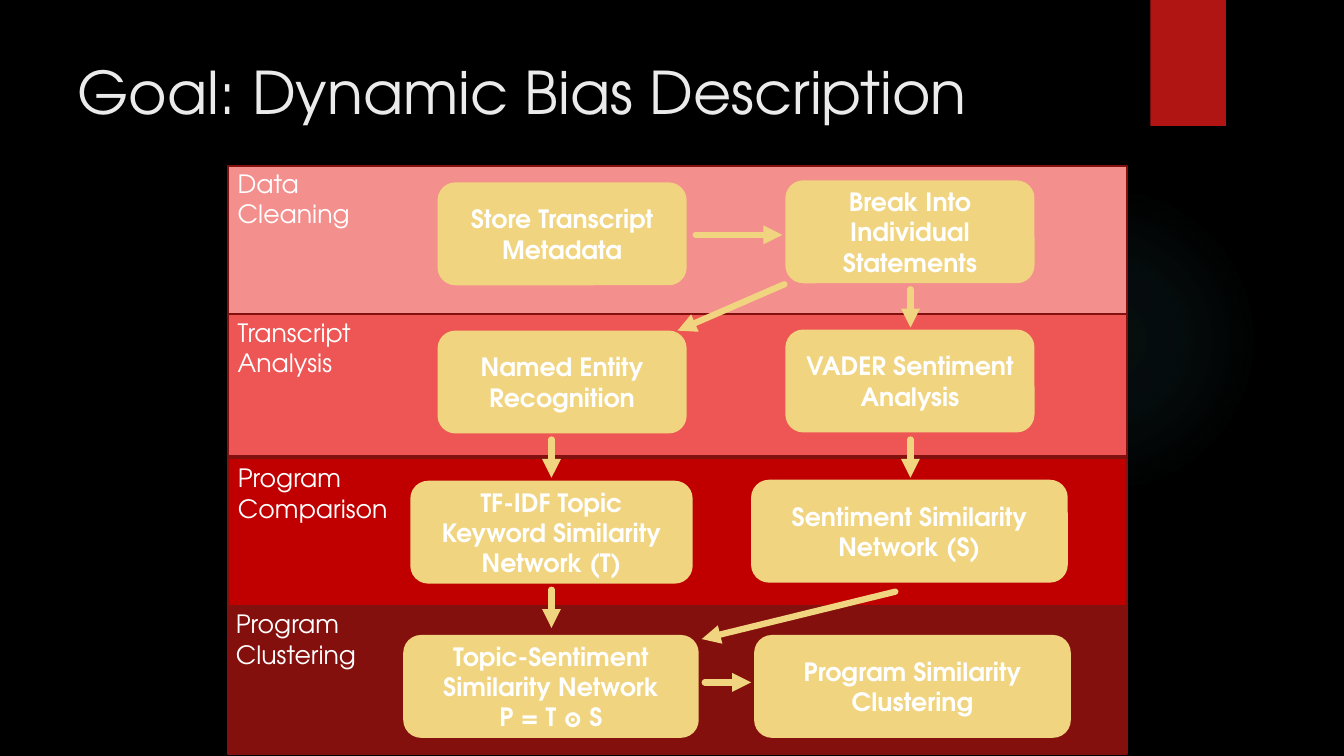
"""Build the Dynamic Bias Description slide: four stage bands holding a flow of steps."""
from lxml import etree
from pptx import Presentation
from pptx import util as u
from pptx.dml.color import RGBColor
from pptx.enum import shapes, text
from pptx.oxml import parse_xml
from pptx.oxml.ns import nsdecls, qn

FONT = "TeX Gyre Adventor"
COLORS = {
    "background": "000000", "title": "EBEBEB", "white": "FFFFFF",
    "ribbon": "B01513", "glow": "50B9C1", "border": "82100E", "step": "F0D47F",
    "cleaning": "F38F8D", "analysis": "ED5654",
    "comparison": "C00000", "clustering": "84100E",
}
BAND_LEFT, BAND_WIDTH, BAND_HEIGHT = 2.26, 8.92, 1.47
STEP_HEIGHT = 1

BANDS = [
    ("analysis", 3.06, "Transcript Analysis", 2.26, 3.1, 1.5),
    ("comparison", 4.54, "Program Comparison", 2.26, 4.54, 1.75),
    ("clustering", 6.01, "Program Clustering", 2.24, 5.99, 1.71),
    ("cleaning", 1.65, "Data Cleaning", 2.26, 1.62, 1.5),
]
STEPS = [
    ("Store Transcript Metadata", 4.35, 1.82, 2.45),
    ("Break Into Individual Statements", 7.8, 1.8, 2.45),
    ("Named Entity Recognition", 4.35, 3.29, 2.45),
    ("VADER Sentiment Analysis", 7.8, 3.28, 2.45),
    ("TF-IDF Topic Keyword Similarity Network (T)", 4.08, 4.78, 2.78),
    ("Sentiment Similarity Network (S)", 7.46, 4.77, 3.12),
    ("Topic-Sentiment Similarity Network\nP = T ⊙ S", 4.01, 6.31, 2.91),
    ("Program Similarity Clustering", 7.49, 6.31, 3.12),
]
ARROWS = [
    (6.9, 2.33, 7.76, 2.33),
    (7.78, 2.82, 6.72, 3.28),
    (9.03, 2.87, 9.03, 3.25),
    (5.47, 4.36, 5.47, 4.74),
    (9.03, 4.36, 9.03, 4.74),
    (5.47, 5.85, 5.47, 6.23),
    (8.88, 5.87, 6.96, 6.34),
    (6.99, 6.77, 7.45, 6.77),
]


def color(name):
    return RGBColor.from_string(COLORS[name])


def inches(*values):
    return [u.Inches(value) for value in values]


def write(frame, content, size, color_name, bold=False, align=text.PP_ALIGN.LEFT):
    frame.word_wrap = True
    frame.text = content
    for paragraph in frame.paragraphs:
        paragraph.alignment = align
        for run in paragraph.runs:
            run.font.name = FONT
            run.font.size = u.Pt(size)
            run.font.bold = bold
            run.font.color.rgb = color(color_name)


def add_block(slide, kind, box, fill, line=None):
    shape = slide.shapes.add_shape(kind, *inches(*box))
    shape.shadow.inherit = False
    shape.fill.solid()
    shape.fill.fore_color.rgb = color(fill)
    if line:
        shape.line.color.rgb = color(line)
        shape.line.width = u.Pt(1.5)
    else:
        shape.line.fill.background()
    return shape


def add_glow(slide):
    shape = add_block(slide, shapes.MSO_SHAPE.OVAL, (9.41, 1.83, 3.08, 3.08), "glow")
    stops = "".join(
        f'<a:gs pos="{position}000"><a:srgbClr val="{COLORS["glow"]}">'
        f'<a:alpha val="{alpha}000"/></a:srgbClr></a:gs>'
        for position, alpha in ((0, 7), (36, 6), (69, 0), (100, 0)))
    gradient = parse_xml(
        f'<a:gradFill {nsdecls("a")} rotWithShape="1"><a:gsLst>{stops}</a:gsLst>'
        '<a:path path="circle"><a:fillToRect l="50000" t="50000" r="50000" b="50000"/>'
        '</a:path></a:gradFill>')
    properties = shape.element.spPr
    properties.replace(properties.find(qn("a:solidFill")), gradient)


def add_title(slide, content):
    title = slide.shapes.title
    title.left, title.top, title.width, title.height = inches(0.67, 0.5, 10.29, 1.53)
    write(title.text_frame, content, 42, "title")
    title.text_frame.auto_size = text.MSO_AUTO_SIZE.NONE
    title.text_frame.vertical_anchor = text.MSO_ANCHOR.TOP


def add_band(slide, fill, top, label, label_left, label_top, label_width):
    box = (BAND_LEFT, top, BAND_WIDTH, BAND_HEIGHT)
    add_block(slide, shapes.MSO_SHAPE.RECTANGLE, box, fill, "border")
    label_box = slide.shapes.add_textbox(
        *inches(label_left, label_top, label_width, 0.71))
    write(label_box.text_frame, label, 18, "white")


def add_step(slide, content, left, top, width):
    box = (left, top, width, STEP_HEIGHT)
    shape = add_block(slide, shapes.MSO_SHAPE.ROUNDED_RECTANGLE, box, "step", "step")
    write(shape.text_frame, content, 18, "white", True, text.PP_ALIGN.CENTER)
    shape.text_frame.vertical_anchor = text.MSO_ANCHOR.MIDDLE


def add_arrow(slide, *ends):
    arrow = slide.shapes.add_connector(shapes.MSO_CONNECTOR.STRAIGHT, *inches(*ends))
    arrow.line.color.rgb = color("step")
    arrow.line.width = u.Pt(4.5)
    line = arrow.line._get_or_add_ln()
    line.set("cap", "rnd")
    etree.SubElement(line, qn("a:tailEnd"), type="triangle")
    etree.SubElement(arrow.element.spPr, qn("a:effectLst"))


def main():
    presentation = Presentation()
    presentation.slide_width, presentation.slide_height = inches(13.33, 7.5)
    slide = presentation.slides.add_slide(presentation.slide_layouts[5])
    slide.background.fill.solid()
    slide.background.fill.fore_color.rgb = color("background")
    add_glow(slide)
    add_block(slide, shapes.MSO_SHAPE.RECTANGLE, (11.41, 0, 0.75, 1.25), "ribbon")
    add_title(slide, "Goal: Dynamic Bias Description")
    for band in BANDS:
        add_band(slide, *band)
    for step in STEPS:
        add_step(slide, *step)
    for arrow in ARROWS:
        add_arrow(slide, *arrow)
    presentation.save("out.pptx")


if __name__ == "__main__":
    main()
